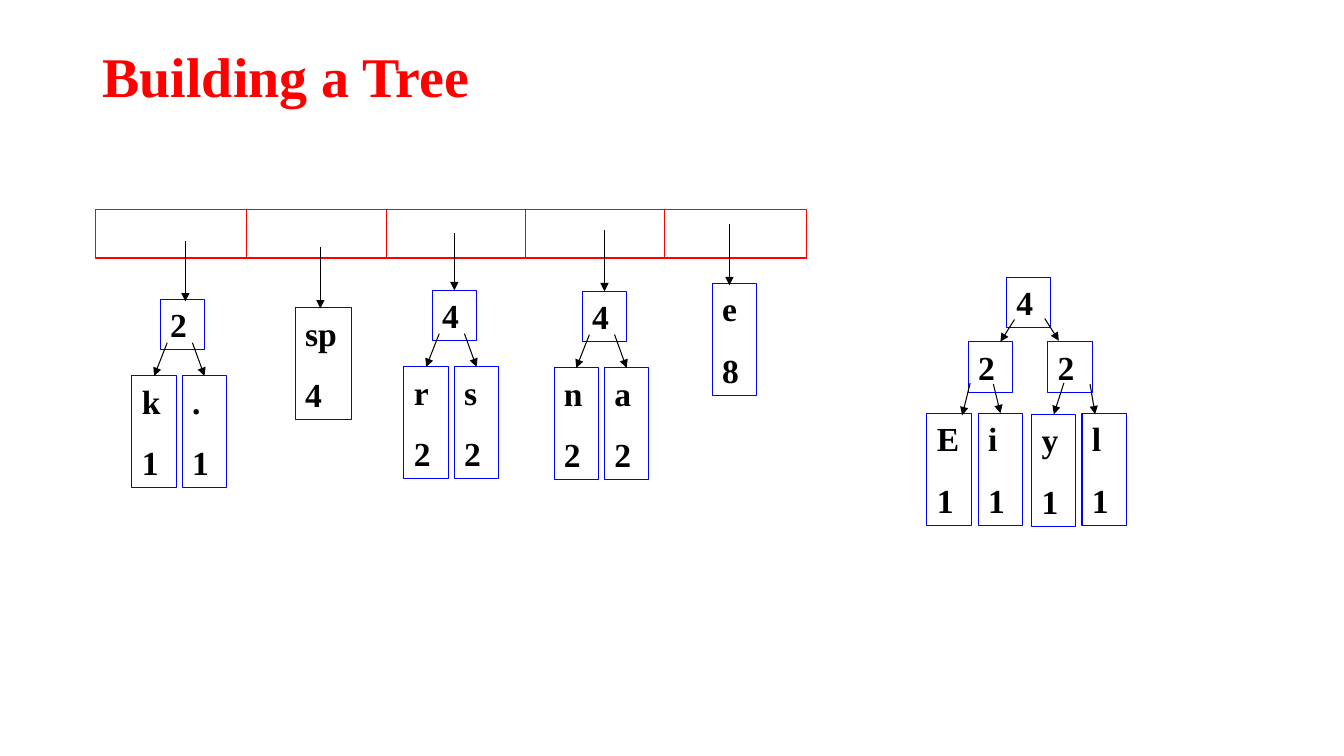
import pptx
import pptx.dml.color
import pptx.enum.shapes
import pptx.enum.text
import pptx.oxml
import pptx.util
from pptx.util import Inches

COLORS = {"red": "FF0000", "blue": "0000FF", "black": "000000", "white": "FFFFFF"}
NODE_WIDTH, ROOT_HEIGHT, LEAF_HEIGHT = 0.44, 0.5, 1.11

presentation = pptx.Presentation()
presentation.slide_width = Inches(13.34)
presentation.slide_height = Inches(7.5)
slide = presentation.slides.add_slide(presentation.slide_layouts[6])


def add_box(left, top, width, height, text="", size=24, color="black", line=None,
            fill=None, anchor="TOP", line_spacing=None):
    """Add a rectangle; each line of text becomes a paragraph."""
    shape = slide.shapes.add_shape(pptx.enum.shapes.MSO_SHAPE.RECTANGLE,
                                   Inches(left), Inches(top), Inches(width), Inches(height))
    shape.shadow.inherit = False
    if fill:
        shape.fill.solid()
        shape.fill.fore_color.rgb = pptx.dml.color.RGBColor.from_string(COLORS[fill])
    else:
        shape.fill.background()
    if line:
        shape.line.color.rgb = pptx.dml.color.RGBColor.from_string(COLORS[line])
        shape.line.width = pptx.util.Pt(0.75)
    else:
        shape.line.fill.background()
    frame = shape.text_frame
    frame.word_wrap = True
    frame.vertical_anchor = pptx.enum.text.MSO_ANCHOR[anchor]
    if text:
        frame.text = text
    for number, paragraph in enumerate(frame.paragraphs):
        paragraph.alignment = pptx.enum.text.PP_ALIGN.LEFT
        paragraph.line_spacing = line_spacing
        if number:
            paragraph.space_before = pptx.util.Pt(15)
        paragraph.font.name = "Times New Roman"
        paragraph.font.size = pptx.util.Pt(size)
        paragraph.font.bold = True
        paragraph.font.color.rgb = pptx.dml.color.RGBColor.from_string(COLORS[color])
    return shape


def add_line(start, end, color="black", arrow=True, target=None):
    """Draw a line, joined to the top middle of target if one is given."""
    connector = slide.shapes.add_connector(pptx.enum.shapes.MSO_CONNECTOR.STRAIGHT,
                                           *(Inches(value) for value in start + end))
    if target is not None:
        connector.end_connect(target, 0)
    connector.line.color.rgb = pptx.dml.color.RGBColor.from_string(COLORS[color])
    connector.line.width = pptx.util.Pt(0.75)
    if arrow:
        head = pptx.oxml.parse_xml(
            '<a:tailEnd xmlns:a="http://schemas.openxmlformats.org/drawingml/2006/main"'
            ' type="triangle"/>')
        connector.line._get_or_add_ln().append(head)
    properties = connector._element.spPr
    properties.append(properties.makeelement(pptx.oxml.ns.qn("a:effectLst"), {}))


add_box(0.92, 0.4, 11.5, 0.77, "Building a Tree", size=40, color="red",
        anchor="MIDDLE", line_spacing=0.9)

# Queue
queue_top, queue_bottom = 2.08, 2.56
add_box(0.95, queue_top, 7.06, queue_bottom - queue_top, line="red", fill="white")
for index in range(4):
    divider_x = 2.45 + 1.383 * index
    add_line((divider_x, queue_top), (divider_x, queue_bottom), color="red", arrow=False)

# Single nodes in the queue
add_box(2.93, 3.05, 0.56, LEAF_HEIGHT, "sp\n4", line="blue")
add_box(7.07, 2.81, NODE_WIDTH, LEAF_HEIGHT, "e\n8", line="blue")

# Two-leaf trees in the queue
queue_roots = {}
for left, top, weight, leaves in [
    (1.59, 2.97, "2", ("k\n1", ".\n1")),
    (4.29, 2.88, "4", ("r\n2", "s\n2")),
    (5.78, 2.89, "4", ("n\n2", "a\n2")),
]:
    queue_roots[left] = add_box(left, top, NODE_WIDTH, ROOT_HEIGHT, weight, line="blue")
    for leaf, leaf_shift, arrow_shift in zip(leaves, (-0.28, 0.22), (0.07, 0.32)):
        leaf_left, leaf_top = left + leaf_shift, top + 0.76
        leaf_box = add_box(leaf_left, leaf_top, NODE_WIDTH, LEAF_HEIGHT, leaf, line="blue")
        add_line((left + arrow_shift, top + 0.43), (leaf_left + NODE_WIDTH / 2, leaf_top),
                 target=leaf_box)

# Pointers from the queue
for x, top, bottom, root in [
    (1.84, 2.39, 2.99, None),
    (3.18, 2.45, 3.06, None),
    (4.51, 2.31, 2.91, queue_roots[4.29]),
    (6.0, 2.28, 2.89, queue_roots[5.78]),
    (7.24, 2.22, 2.83, None),
]:
    add_line((x, top), (x, bottom), target=root)

# Merged tree on the right
for left, top, weight in [(9.99, 2.75, "4"), (9.61, 3.39, "2"), (10.4, 3.39, "2")]:
    add_box(left, top, NODE_WIDTH, ROOT_HEIGHT, weight, line="blue")
for left, top, leaf, start, end in [
    (9.2, 4.1, "E\n1", (9.63, 3.8), (9.55, 4.12)),
    (9.71, 4.1, "i\n1", (9.86, 3.81), None),
    (10.24, 4.11, "y\n1", (10.56, 3.8), None),
    (10.74, 4.1, "l\n1", (10.82, 3.81), (10.87, 4.11)),
]:
    leaf_box = add_box(left, top, NODE_WIDTH, LEAF_HEIGHT, leaf, line="blue")
    if end:
        add_line(start, end)
    else:
        add_line(start, (left + NODE_WIDTH / 2, top), target=leaf_box)
add_line((10.07, 3.17), (9.93, 3.39))
add_line((10.37, 3.16), (10.51, 3.38))

presentation.save("out.pptx")
